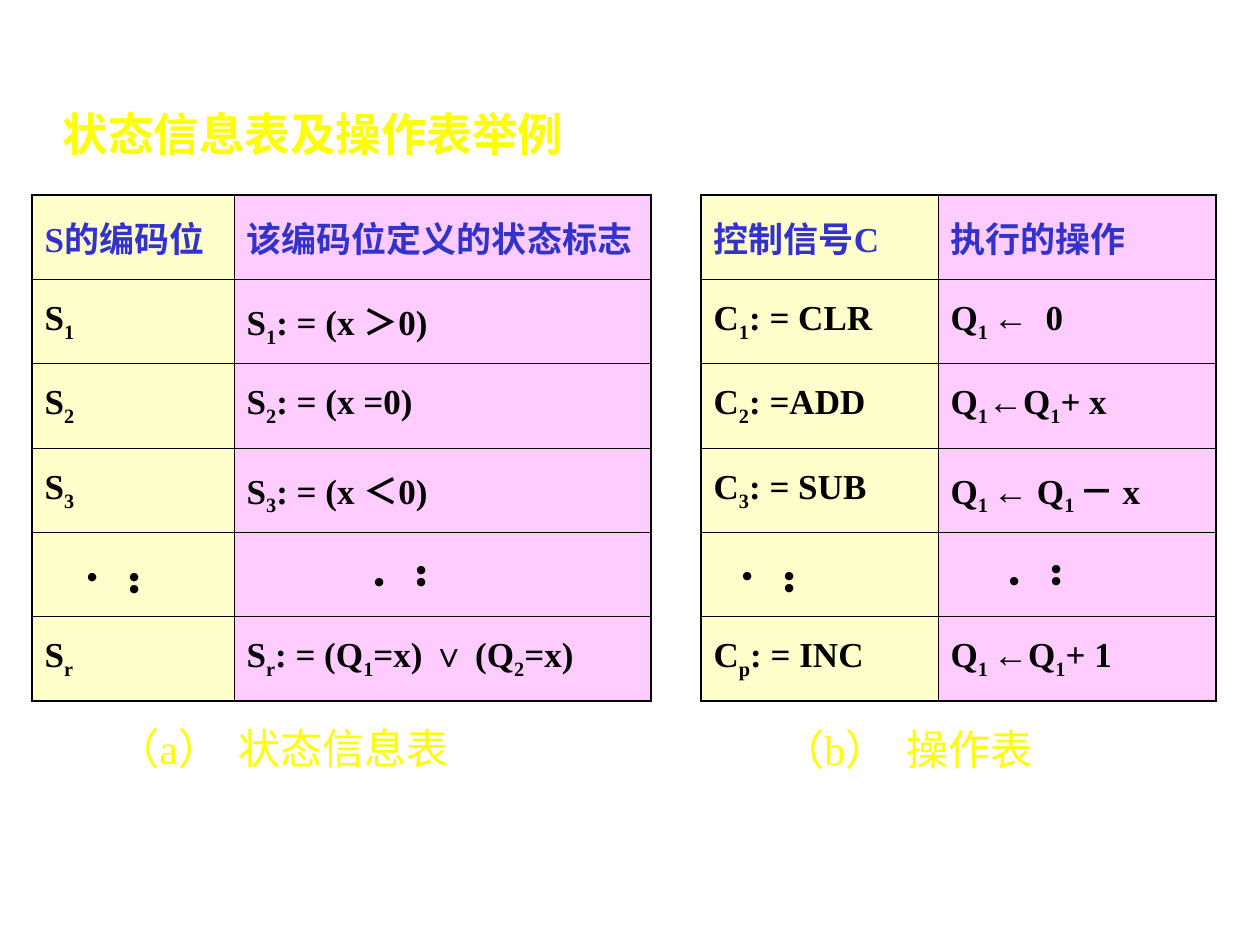
"""Builds a slide with a status table and an operation table side by side."""
from lxml import etree
from pptx import Presentation
from pptx.dml.color import RGBColor
from pptx.enum import text
from pptx.oxml import ns
from pptx.util import Emu, Pt

SCALE = 914400 / 126
FONT = "Times New Roman"
BLACK, BLUE, YELLOW = "000000", "3333CC", "FFFF00"
COLUMN_FILLS = ("FFFFCC", "FFCCFF")
THICK, THIN = 1.08, 0.45

STATUS_ROWS = [
    ("S的编码位", "该编码位定义的状态标志"),
    ("S_1", "S_1_: = (x ＞0)"),
    ("S_2", "S_2_: = (x =0)"),
    ("S_3", "S_3_: = (x ＜0)"),
    ("", ""),
    ("S_r", "S_r_: = (Q_1_=x) ∨ (Q_2_=x)"),
]
OPERATION_ROWS = [
    ("控制信号C", "执行的操作"),
    ("C_1_: = CLR", "Q_1 _←  0"),
    ("C_2_: =ADD", "Q_1_←Q_1_+ x"),
    ("C_3_: = SUB", "Q_1 _← Q_1 _－ x"),
    ("", ""),
    ("C_p_: = INC", "Q_1 _←Q_1_+ 1"),
]


def px(length):
    return Emu(round(length * SCALE))


def color(value):
    return RGBColor.from_string(value)


class Builder:
    def __init__(self):
        self.deck = Presentation()
        self.deck.slide_width, self.deck.slide_height = px(1260), px(945)
        self.page = self.deck.slides.add_slide(self.deck.slide_layouts[5])

    def add_spans(self, para, content, size, ink, bold=False):
        for index, part in enumerate(content.split("_")):
            if not part:
                continue
            span = para.add_run()
            span.text = part
            span.font.name, span.font.size, span.font.bold = FONT, Pt(size), bold
            span.font.color.rgb = color(ink)
            if index % 2:
                span.font._element.set("baseline", "-25000")

    def title(self, left, top, width, height, content):
        box = self.page.shapes.title
        box.left, box.top, box.width, box.height = map(px, (left, top, width, height))
        frame = box.text_frame
        frame.word_wrap = True
        frame.auto_size = text.MSO_AUTO_SIZE.NONE
        frame.vertical_anchor = text.MSO_ANCHOR.MIDDLE
        frame.paragraphs[0].alignment = text.PP_ALIGN.LEFT
        self.add_spans(frame.paragraphs[0], content, 26, YELLOW, bold=True)

    def label(self, left, top, width, height, content, size, ink):
        box = self.page.shapes.add_textbox(*map(px, (left, top, width, height)))
        frame = box.text_frame
        frame.word_wrap = True
        frame.auto_size = text.MSO_AUTO_SIZE.SHAPE_TO_FIT_TEXT
        self.add_spans(frame.paragraphs[0], content, size, ink)
        return frame

    def dots(self, left, top, align):
        frame = self.label(left, top, 67, 53, "•••", 20, BLACK)
        frame.margin_left = frame.margin_right = Pt(3.6)
        frame.margin_top = frame.margin_bottom = Pt(7.2)
        frame._bodyPr.set("vert", "eaVert")
        frame.paragraphs[0].alignment = align

    def border(self, cell, side, width):
        props = cell._tc.get_or_add_tcPr()
        line = etree.SubElement(props, ns.qn(f"a:ln{side}"), w=str(int(Pt(width))))
        fill = etree.SubElement(line, ns.qn("a:solidFill"))
        etree.SubElement(fill, ns.qn("a:srgbClr"), val=BLACK)

    def table(self, left, top, widths, height, rows):
        frame = self.page.shapes.add_table(
            len(rows), len(widths), px(left), px(top), px(sum(widths)), px(height))
        grid = frame.table
        grid.first_row = grid.horz_banding = False
        for column, width in zip(grid.columns, widths):
            column.width = px(width)
        last_row, last_column = len(rows) - 1, len(widths) - 1
        for r, row in enumerate(rows):
            for c, content in enumerate(row):
                cell = grid.cell(r, c)
                edges = {"L": c == 0, "R": c == last_column,
                         "T": r == 0, "B": r == last_row}
                for side, outer in edges.items():
                    self.border(cell, side, THICK if outer else THIN)
                cell.fill.solid()
                cell.fill.fore_color.rgb = color(COLUMN_FILLS[c])
                cell.vertical_anchor = text.MSO_ANCHOR.MIDDLE
                self.add_spans(cell.text_frame.paragraphs[0], content, 20,
                               BLACK if r else BLUE, bold=True)


def main():
    slide = Builder()
    slide.title(50, 101, 600, 64, "状态信息表及操作表举例")
    slide.table(32, 195, (202, 417), 506, STATUS_ROWS)
    slide.table(701, 195, (237, 278), 506, OPERATION_ROWS)
    for left, top in ((97, 559), (752, 558)):
        slide.dots(left, top, text.PP_ALIGN.LEFT)
    for left, top in ((384, 552), (1019, 551)):
        slide.dots(left, top, text.PP_ALIGN.RIGHT)
    slide.label(105, 716, 410, 63, "（a）  状态信息表", 24, YELLOW)
    slide.label(770, 717, 336, 63, "（b）  操作表", 24, YELLOW)
    slide.deck.save("out.pptx")


if __name__ == "__main__":
    main()
